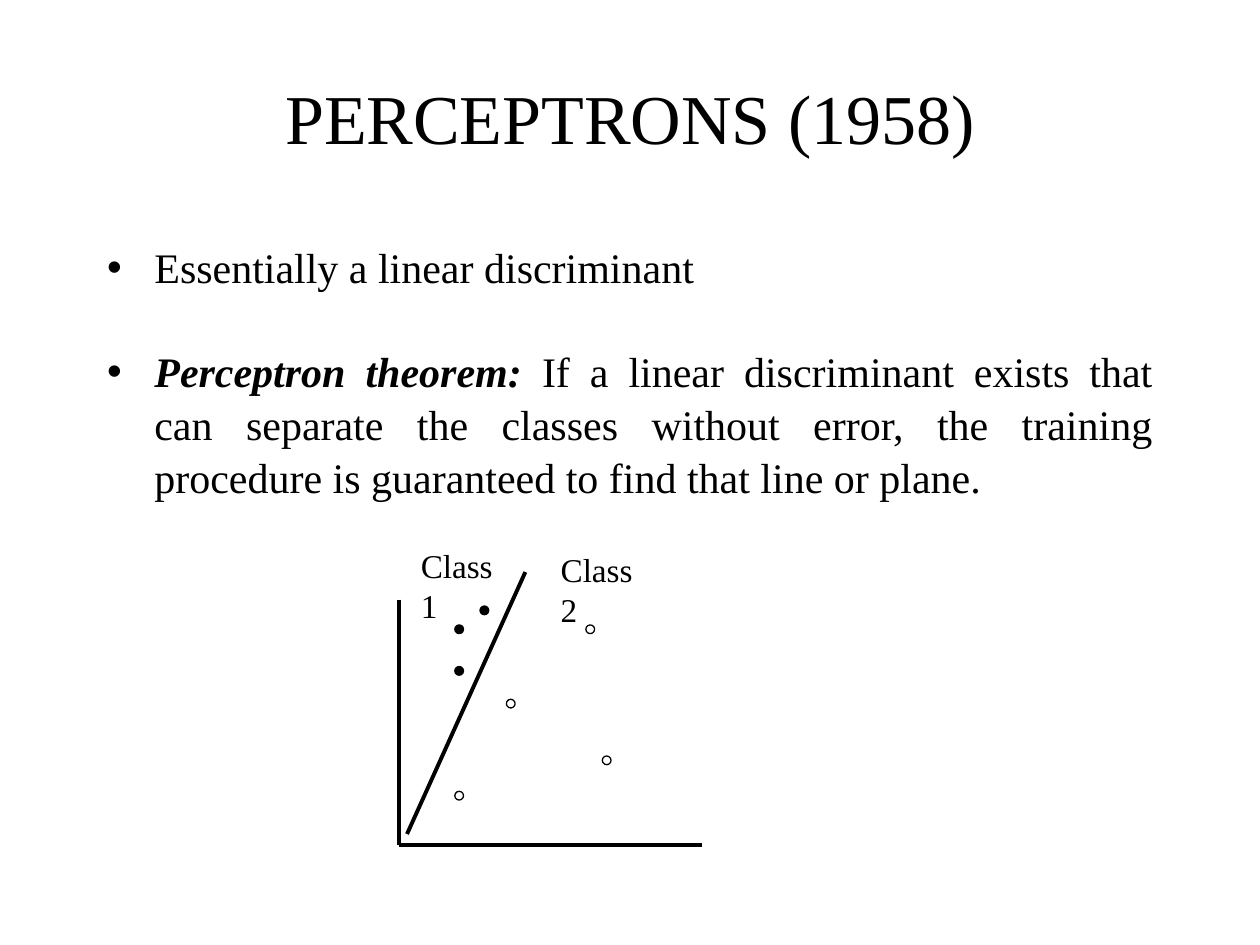
from pptx import Presentation
from pptx.dml.color import RGBColor
from pptx.enum import shapes, text
from pptx.util import Pt

FONT = "Times New Roman"
BLACK, WHITE = "000000", "FFFFFF"
TITLE = "PERCEPTRONS (1958)"
# Each point: alignment, space before, runs of (words, emphasised)
POINTS = [
    (text.PP_ALIGN.LEFT, 0, [("Essentially a linear discriminant", False)]),
    (text.PP_ALIGN.JUSTIFY, 29.4, [
        ("Perceptron theorem: ", True),
        ("If a linear discriminant exists that can separate the classes "
         "without error, the training procedure is guaranteed to find that "
         "line or plane.", False)]),
]
ORIGIN = (228.2, 483.1)
LINES = [
    ((228.2, 342.7), ORIGIN),
    (ORIGIN, (401, 483.1)),
    ((232.6, 476.6), (300.2, 326.9)),
]
DOT = 5
# Each class: label, label place, dot fill, dot places
CLASSES = [
    ("Class1", (240.5, 311.8), BLACK,
     [(259.9, 380.9), (274.3, 346.3), (259.9, 357.1)]),
    ("Class2", (320.4, 313.9), WHITE,
     [(334.8, 357.1), (289.4, 399.6), (259.9, 452.2), (344.2, 432)]),
]


def tint(code):
    return RGBColor.from_string(code)


def place(shape, *box):
    shape.left, shape.top, shape.width, shape.height = map(Pt, box)


def add_run(para, words, size, strong=False):
    run = para.add_run()
    run.text = words
    font = run.font
    font.name, font.size = FONT, Pt(size)
    font.bold = font.italic = strong
    font.color.rgb = tint(BLACK)


def add_line(group, start, end):
    line = group.shapes.add_connector(
        shapes.MSO_CONNECTOR.STRAIGHT, *map(Pt, start + end))
    line.line.color.rgb = tint(BLACK)
    line.line.width = Pt(2.25)
    props = line._element.spPr
    props.append(props.makeelement(
        "{http://schemas.openxmlformats.org/drawingml/2006/main}effectLst"))


def add_dot(group, spot, fill):
    dot = group.shapes.add_shape(
        shapes.MSO_SHAPE.OVAL, *map(Pt, (*spot, DOT, DOT)))
    dot.shadow.inherit = False
    dot.fill.solid()
    dot.fill.fore_color.rgb = tint(fill)
    dot.line.color.rgb = tint(BLACK)
    dot.line.width = Pt(0.75)


def add_label(group, words, spot):
    box = group.shapes.add_textbox(*map(Pt, (*spot, 50.4, 23)))
    frame = box.text_frame
    frame.margin_left = frame.margin_right = 0
    frame.margin_top = frame.margin_bottom = 0
    frame.word_wrap = False
    frame.auto_size = text.MSO_AUTO_SIZE.SHAPE_TO_FIT_TEXT
    add_run(frame.paragraphs[0], words, 19)


def fill_body(body):
    place(body, 54, 133, 612, 167)
    frame = body.text_frame
    frame.auto_size = text.MSO_AUTO_SIZE.NONE
    for i, (align, gap, runs) in enumerate(POINTS):
        para = frame.add_paragraph() if i else frame.paragraphs[0]
        para.alignment = align
        para.space_before = Pt(gap)
        para.line_spacing = 1.05
        props = para._p.get_or_add_pPr()
        props.set("marL", str(Pt(27)))
        props.set("indent", str(Pt(-27)))
        for words, strong in runs:
            add_run(para, words, 24, strong)


def main():
    deck = Presentation()
    deck.slide_width, deck.slide_height = Pt(720), Pt(540)
    slide = deck.slides.add_slide(deck.slide_layouts[1])
    title, body = slide.placeholders
    place(title, 36, 21.6, 648, 90)
    title.text_frame.vertical_anchor = text.MSO_ANCHOR.MIDDLE
    add_run(title.text_frame.paragraphs[0], TITLE, 40)
    fill_body(body)

    plot = slide.shapes.add_group_shape()
    for start, end in LINES:
        add_line(plot, start, end)
    for name, spot, fill, dots in CLASSES:
        add_label(plot, name, spot)
        for dot in dots:
            add_dot(plot, dot, fill)
    deck.save("out.pptx")


if __name__ == "__main__":
    main()
